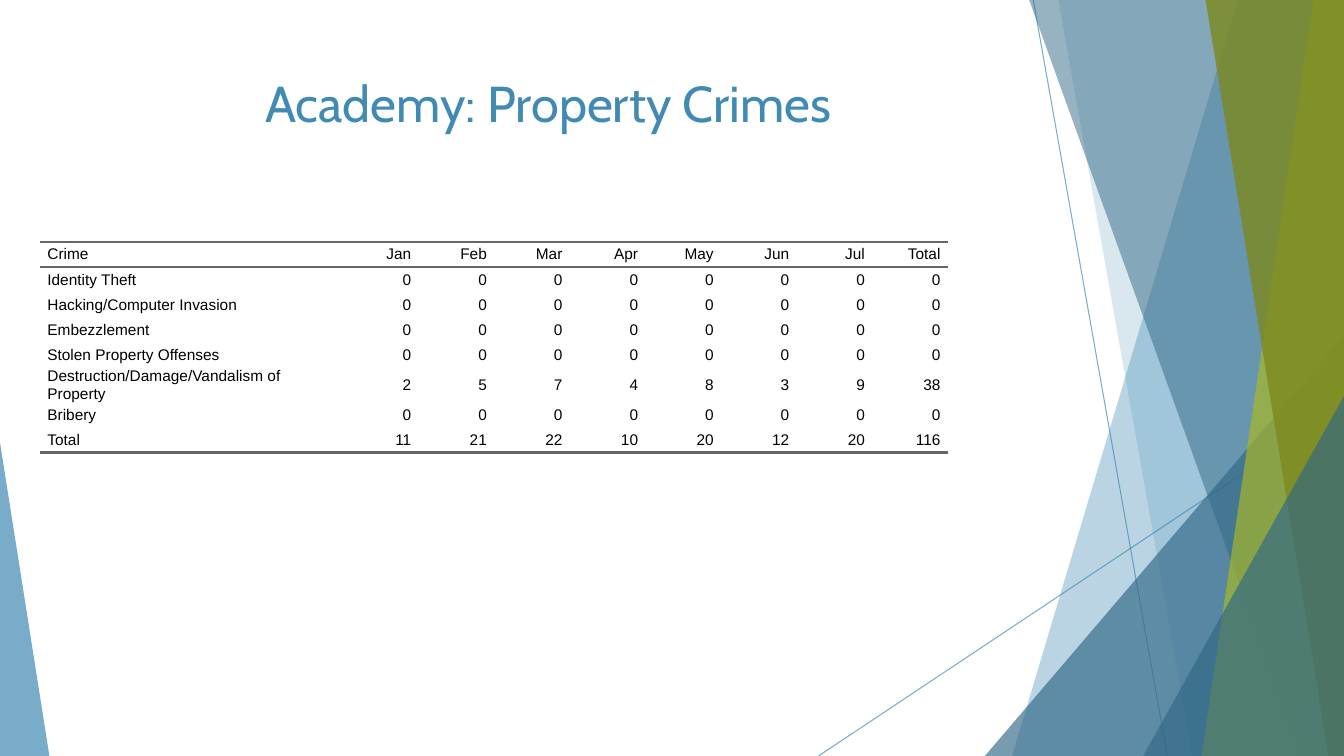
from lxml import etree
from pptx import Presentation
from pptx.dml.color import RGBColor
from pptx.enum.shapes import MSO_CONNECTOR, MSO_SHAPE
from pptx.enum.text import MSO_ANCHOR, PP_ALIGN
from pptx.oxml.ns import qn
from pptx.util import Inches, Pt

STRAIGHT = MSO_CONNECTOR.STRAIGHT
TRIANGLE = MSO_SHAPE.ISOSCELES_TRIANGLE
TOP, MIDDLE = MSO_ANCHOR.TOP, MSO_ANCHOR.MIDDLE
LEFT, CENTER, RIGHT = PP_ALIGN.LEFT, PP_ALIGN.CENTER, PP_ALIGN.RIGHT

BLUE = RGBColor(0x41, 0x8A, 0xB3)
DARK_BLUE = RGBColor(0x31, 0x68, 0x86)
GREEN = RGBColor(0xA6, 0xB7, 0x27)
OLIVE = RGBColor(0x7D, 0x89, 0x1D)
BLACK = RGBColor(0, 0, 0)
RULE_GRAY = RGBColor(0x66, 0x66, 0x66)

CELL = 0.25
COLUMNS, ROWS = 53.33, 30
LABEL_COLUMNS, MONTH_COLUMNS = 12, 3
NO_STYLE = "{2D5ABB26-0587-4C30-8999-92F81FD0307C}"

HEADINGS = ["Crime", "Jan", "Feb", "Mar", "Apr", "May", "Jun", "Jul", "Total"]
NO_CASES = [0] * 8
CRIMES = [
    ("Identity Theft", NO_CASES),
    ("Hacking/Computer Invasion", NO_CASES),
    ("Embezzlement", NO_CASES),
    ("Stolen Property Offenses", NO_CASES),
    ("Destruction/Damage/Vandalism of Property", [2, 5, 7, 4, 8, 3, 9, 38]),
    ("Bribery", NO_CASES),
    ("Total", [11, 21, 22, 10, 20, 12, 20, 116]),
]


def grid(cells):
    return Inches(cells * CELL)


def set_opacity(fill_owner, percent):
    color = next(fill_owner.iter(qn("a:srgbClr")))
    etree.SubElement(color, qn("a:alpha"), val=str(percent * 1000))


def paint(shape, color, opacity):
    shape.shadow.inherit = False
    shape.fill.solid()
    shape.fill.fore_color.rgb = color
    shape.line.fill.background()
    set_opacity(shape._element.spPr, opacity)


def add_ray(slide, start, end):
    ray = slide.shapes.add_connector(STRAIGHT, *map(grid, start + end))
    ray.line.color.rgb = BLUE
    ray.line.width = Pt(0.75)
    properties = ray._element.spPr
    set_opacity(properties, 70)
    etree.SubElement(properties, qn("a:effectLst"))


def add_band(slide, top_edge, bottom_edge, color, opacity):
    outline = slide.shapes.build_freeform(grid(top_edge), 0)
    corners = [(COLUMNS, 0), (COLUMNS, ROWS), (bottom_edge, ROWS)]
    outline.add_line_segments([(grid(x), grid(y)) for x, y in corners], close=True)
    paint(outline.convert_to_shape(), color, opacity)


def add_corner(slide, left, right, top, apex, color, opacity):
    corner = slide.shapes.add_shape(
        TRIANGLE, grid(left), grid(top), grid(right - left), grid(ROWS - top))
    corner.adjustments[0] = apex
    paint(corner, color, opacity)


def add_backdrop(slide):
    add_ray(slide, (41, 0), (46.32, ROWS))
    add_ray(slide, (COLUMNS, 16.12), (32.48, ROWS))
    add_band(slide, 49.12, 40.16, BLUE, 36)
    add_band(slide, 42, 47.32, BLUE, 20)
    add_corner(slide, 39.08, COLUMNS, 13.32, 1, DARK_BLUE, 66)
    add_band(slide, 40.84, 51.64, DARK_BLUE, 50)
    add_band(slide, 52.12, 47.68, GREEN, 70)
    add_band(slide, 47.84, 52.72, OLIVE, 80)
    add_corner(slide, 45.36, COLUMNS, 15.72, 1, DARK_BLUE, 66)
    add_corner(slide, 0, 1.96, 17.56, 0, BLUE, 70)


def write(frame, text, *, size, font, color, align, spacing=0, indent=0):
    frame.word_wrap = True
    paragraph = frame.paragraphs[0]
    paragraph.alignment = align
    paragraph.space_before = paragraph.space_after = Pt(spacing)
    if indent:
        properties = paragraph._p.get_or_add_pPr()
        for side in ("marL", "marR"):
            properties.set(side, str(Inches(indent)))
        properties.set("indent", "0")
    run = paragraph.add_run()
    run.text = text
    run.font.size = Pt(size)
    run.font.name = font
    run.font.color.rgb = color


def add_rule(cell, side):
    rule = etree.SubElement(
        cell._tc.get_or_add_tcPr(), qn(f"a:{side}"), w=str(Pt(2)))
    fill = etree.SubElement(rule, qn("a:solidFill"))
    etree.SubElement(fill, qn("a:srgbClr"), val=str(RULE_GRAY))


def fill_cell(cell, text, align, rules):
    cell.margin_left = cell.margin_right = cell.margin_top = cell.margin_bottom = 0
    cell.vertical_anchor = MIDDLE
    for side in rules:
        add_rule(cell, side)
    cell.fill.background()
    write(cell.text_frame, text, size=11, font="Arial", color=BLACK,
          align=align, spacing=5, indent=0.07)


def add_crime_table(slide):
    records = [HEADINGS] + [[crime, *counts] for crime, counts in CRIMES]
    widths = [LABEL_COLUMNS] + [MONTH_COLUMNS] * (len(HEADINGS) - 1)
    table = slide.shapes.add_table(
        len(records), len(widths), grid(1.6), grid(9.6),
        grid(sum(widths)), grid(len(records))).table
    table.first_row = table.horz_banding = False
    next(table._tbl.iter(qn("a:tableStyleId"))).text = NO_STYLE
    for column, width in zip(table.columns, widths):
        column.width = grid(width)
    rules = {0: ("lnT", "lnB"), len(records) - 1: ("lnB",)}
    for r, record in enumerate(records):
        table.rows[r].height = grid(1)
        for c, value in enumerate(record):
            fill_cell(table.cell(r, c), str(value), RIGHT if c else LEFT,
                      rules.get(r, ()))


def add_title(slide, text):
    title = slide.shapes.add_textbox(grid(2.96), grid(2.68), grid(37.6), grid(5.76))
    title.text_frame.vertical_anchor = TOP
    write(title.text_frame, text, size=36, font="Cabin", color=BLUE, align=CENTER)


def main():
    deck = Presentation()
    deck.slide_width, deck.slide_height = grid(COLUMNS), grid(ROWS)
    slide = deck.slides.add_slide(deck.slide_layouts[6])
    add_backdrop(slide)
    add_crime_table(slide)
    add_title(slide, "Academy: Property Crimes")
    deck.save("out.pptx")


if __name__ == "__main__":
    main()
